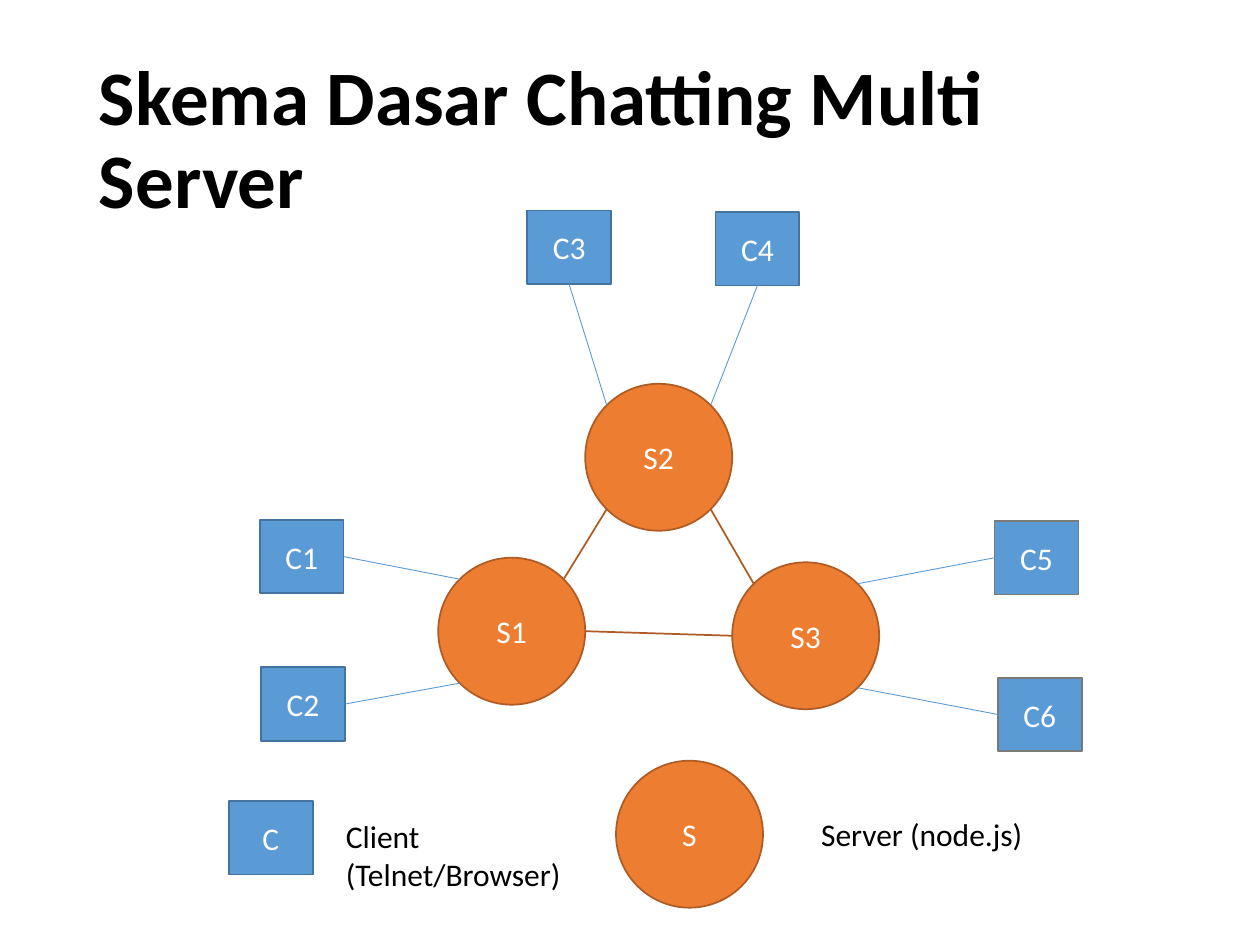
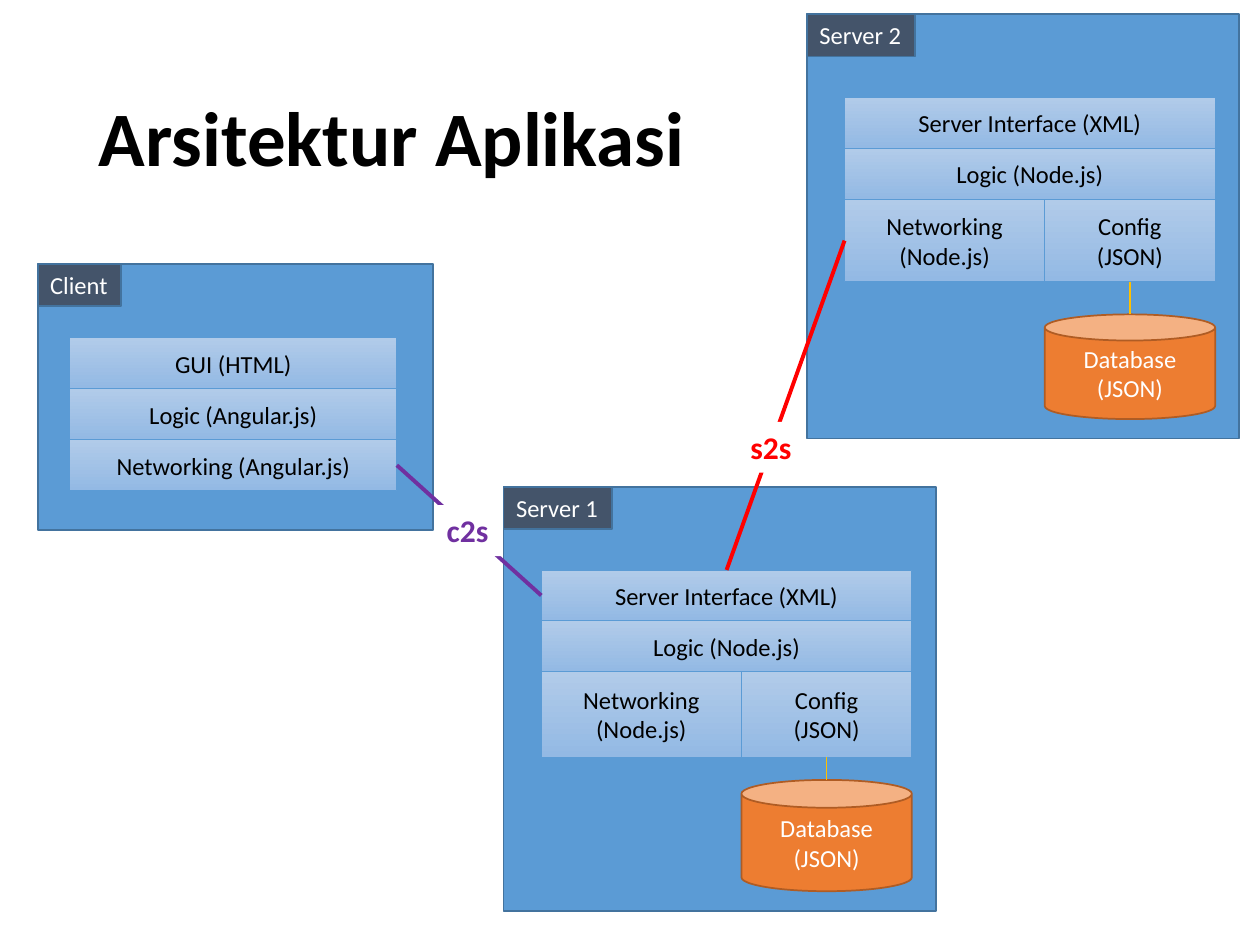
from lxml import etree
from pptx import Presentation
from pptx.dml.color import RGBColor
from pptx.enum.shapes import MSO_CONNECTOR, MSO_SHAPE as SHAPE
from pptx.enum.text import MSO_ANCHOR as ANCHOR, PP_ALIGN as ALIGN
from pptx.oxml.ns import qn
from pptx.util import Pt

FONT = "Calibri"
BLACK, WHITE = "000000", "FFFFFF"
BLUE, BLUE_EDGE, GRAY_EDGE = "5B9BD5", "43739E", "7A7A7A"
ORANGE, ORANGE_EDGE = "ED7D31", "AF5C24"
SLATE, GOLD, PURPLE, RED = "44546A", "FFC000", "7030A0", "FF0000"
LAYER_TOP, LAYER_BOTTOM = "B1CBE9", "93B9E4"

# Places on a shape, as fractions of its width and height
TOP, LEFT, BOTTOM, RIGHT = (0.5, 0), (0, 0.5), (0.5, 1), (1, 0.5)
NEAR, FAR = 0.1464, 0.8536  # where a circle meets its diagonals
TOP_LEFT, TOP_RIGHT = (NEAR, NEAR), (FAR, NEAR)
BOTTOM_LEFT, BOTTOM_RIGHT = (NEAR, FAR), (FAR, FAR)


def color(value):
    """Turn a hex string into a colour."""
    return RGBColor.from_string(value)


def write(shape, text, size=18, ink=BLACK, bold=False, align=ALIGN.LEFT,
          anchor=ANCHOR.TOP, wrap=True, spacing=None):
    """Put text in a shape; a newline starts a paragraph, \\v breaks a line."""
    frame = shape.text_frame
    frame.word_wrap = wrap
    frame.vertical_anchor = anchor
    for index, line in enumerate(text.split("\n")):
        paragraph = frame.add_paragraph() if index else frame.paragraphs[0]
        paragraph.text = line
        paragraph.alignment = align
        paragraph.line_spacing = spacing
        for run in paragraph.runs:
            run.font.name = FONT
            run.font.size = Pt(size)
            run.font.bold = bold
            run.font.color.rgb = color(ink)


def point(shape, place):
    """Find a place on a shape, in points."""
    return (shape.left.pt + place[0] * shape.width.pt,
            shape.top.pt + place[1] * shape.height.pt)


class Deck:
    """The shared style and the slide being drawn."""

    def __init__(self):
        """Open a presentation of 10 by 7.5 inches."""
        self.presentation = Presentation()
        self.presentation.slide_width = Pt(720)
        self.presentation.slide_height = Pt(540)

    def start_slide(self, title):
        """Add a blank slide and its title."""
        self.slide = self.presentation.slides.add_slide(
            self.presentation.slide_layouts[6])
        self.shapes = self.slide.shapes
        self.text(title, 49.5, 28.8, 621, 104.4, size=44, bold=True,
                  anchor=ANCHOR.MIDDLE, spacing=0.9)

    def start_group(self):
        """Draw what follows in a new group."""
        self.shapes = self.slide.shapes.add_group_shape().shapes

    def end_group(self):
        """Draw what follows on the slide itself."""
        self.shapes = self.slide.shapes

    def text(self, text, left, top, width, height, **style):
        """Add a text box."""
        box = self.shapes.add_textbox(Pt(left), Pt(top), Pt(width), Pt(height))
        write(box, text, **style)

    def shape(self, kind, left, top, width, height, fill, edge=None, weight=1):
        """Add a preset shape; a pair of fills is a gradient downwards."""
        shape = self.shapes.add_shape(
            kind, Pt(left), Pt(top), Pt(width), Pt(height))
        shape.shadow.inherit = False
        if isinstance(fill, tuple):
            shape.fill.gradient()
            shape.fill.gradient_angle = 270
            for stop, value in zip(shape.fill.gradient_stops, fill):
                stop.color.rgb = color(value)
        else:
            shape.fill.solid()
            shape.fill.fore_color.rgb = color(fill)
        if edge:
            shape.line.color.rgb = color(edge)
            shape.line.width = Pt(weight)
        else:
            shape.line.fill.background()
        return shape

    def line(self, first, first_place, last, last_place, ink, weight):
        """Join a place on one shape to a place on another."""
        ends = point(first, first_place) + point(last, last_place)
        connector = self.shapes.add_connector(
            MSO_CONNECTOR.STRAIGHT, *(Pt(value) for value in ends))
        connector.line.color.rgb = color(ink)
        connector.line.width = Pt(weight)
        etree.SubElement(connector._element.spPr, qn("a:effectLst"))

    def filled(self, kind, text, box, fill, edge, size=18):
        """Add a shape with centred white text."""
        shape = self.shape(kind, *box, fill, edge)
        write(shape, text, size=size, ink=WHITE, align=ALIGN.CENTER,
              anchor=ANCHOR.MIDDLE)
        return shape

    def client(self, text, left, top, edge=BLUE_EDGE):
        """Add a client square."""
        return self.filled(SHAPE.RECTANGLE, text, (left, top, 48, 42),
                           BLUE, edge)

    def server(self, text, left, top):
        """Add a server circle."""
        return self.filled(SHAPE.OVAL, text, (left, top, 84, 84),
                           ORANGE, ORANGE_EDGE)

    def panel(self, name, left, top, width, height, tag_width, wrap=False):
        """Add a blue panel with a name tag in its corner."""
        self.shape(SHAPE.RECTANGLE, left, top, width, height, BLUE, BLUE_EDGE)
        tag = self.shape(SHAPE.RECTANGLE, left, top, tag_width, 24.2,
                         SLATE, BLUE_EDGE)
        write(tag, name, size=14, ink=WHITE, wrap=wrap)

    def layer(self, text, left, top, width, height=29.1):
        """Add one layer of an application."""
        shape = self.shape(SHAPE.RECTANGLE, left, top, width, height,
                           (LAYER_TOP, LAYER_BOTTOM), BLUE, 0.5)
        write(shape, text, size=14, align=ALIGN.CENTER, anchor=ANCHOR.MIDDLE)
        return shape

    def client_panel(self, left, top):
        """Add the client application; return its networking layer."""
        self.start_group()
        self.panel("Client", left, top, 226, 152.4, 47.5, wrap=True)
        names = "GUI (HTML)", "Logic (Angular.js)", "Networking (Angular.js)"
        for row, name in enumerate(names):
            layer = self.layer(name, left + 18.2, top + 42.4 + row * 29.1, 187)
        self.end_group()
        return layer

    def server_panel(self, name, left, top, row_height, can_top, can_height,
                     link_weight):
        """Add a server application; return its interface and networking."""
        self.start_group()
        self.panel(name, left, top, 247, 242.5, 61.9)
        inner, first = left + 21.5, top + 47.6
        middle, third = inner + 114.4, first + 58.2
        interface = self.layer("Server Interface (XML)", inner, first, 211.8)
        self.layer("Logic (Node.js)", inner, first + 29.1, 211.8)
        networking = self.layer("Networking\v(Node.js)", inner, third,
                                114.4, row_height)
        database = self.filled(
            SHAPE.CAN, "Database\v(JSON)",
            (middle, top + can_top, 97.4, can_height),
            ORANGE, ORANGE_EDGE, size=14)
        config = self.layer("Config\v(JSON)", middle, third, 97.4, row_height)
        self.line(database, TOP, config, BOTTOM, GOLD, link_weight)
        self.end_group()
        return interface, networking

    def protocol(self, text, left, top, width, ink):
        """Add a protocol name on white, over its line."""
        label = self.shape(SHAPE.RECTANGLE, left, top, width, 29.1, WHITE)
        write(label, text, ink=ink, bold=True, wrap=False)


def draw_scheme(deck):
    """Draw the servers, their clients and the key."""
    deck.start_slide("Skema Dasar Chatting Multi Server")
    s1 = deck.server("S1", 250.4, 318.7)
    s2 = deck.server("S2", 334.4, 219.3)
    s3 = deck.server("S3", 418.4, 321.3)
    clients = [
        ("C1", 148.4, 297.1, BLUE_EDGE, RIGHT, s1, TOP_LEFT),
        ("C2", 149.2, 381.3, BLUE_EDGE, RIGHT, s1, BOTTOM_LEFT),
        ("C5", 568.3, 297.7, GRAY_EDGE, LEFT, s3, TOP_RIGHT),
        ("C6", 570.2, 387.3, GRAY_EDGE, LEFT, s3, BOTTOM_RIGHT),
        ("C3", 301.2, 120.3, BLUE_EDGE, BOTTOM, s2, TOP_LEFT),
        ("C4", 408.8, 121.2, BLUE_EDGE, BOTTOM, s2, TOP_RIGHT),
    ]
    squares = [deck.client(*client[:4]) for client in clients]
    for square, (*_, place, server, server_place) in zip(squares, clients):
        deck.line(square, place, server, server_place, BLUE, 0.5)
    for first, first_place, last, last_place in (
            (s1, TOP_RIGHT, s2, BOTTOM_LEFT),
            (s1, RIGHT, s3, LEFT),
            (s2, BOTTOM_RIGHT, s3, TOP_LEFT)):
        deck.line(first, first_place, last, last_place, ORANGE_EDGE, 1)

    deck.client("C", 130.8, 457.8)
    deck.text("Client\n(Telnet/Browser)", 190.6, 463.5, 138, 50.9, wrap=False)
    deck.text("Server (node.js)", 462.1, 462.4, 131, 29.1, wrap=False)
    deck.server("S", 352, 434.7)


def draw_architecture(deck):
    """Draw the layers of the applications and the links between them."""
    deck.start_slide("Arsitektur Aplikasi")
    client = deck.client_panel(21.6, 150.7)
    interface, _ = deck.server_panel("Server 1", 287.8, 278.1, 48.8,
                                     167.6, 63.6, 0.5)
    _, networking = deck.server_panel("Server 2", 461.1, 8.1, 47.2,
                                      171.6, 59.8, 1.5)
    deck.line(client, RIGHT, interface, LEFT, PURPLE, 2.25)
    deck.line(interface, TOP, networking, LEFT, RED, 2.25)
    deck.protocol("s2s", 421.7, 241, 38.2, RED)
    deck.protocol("c2s", 248.2, 288.7, 38.9, PURPLE)


deck = Deck()
draw_scheme(deck)
draw_architecture(deck)
deck.presentation.save("out.pptx")
